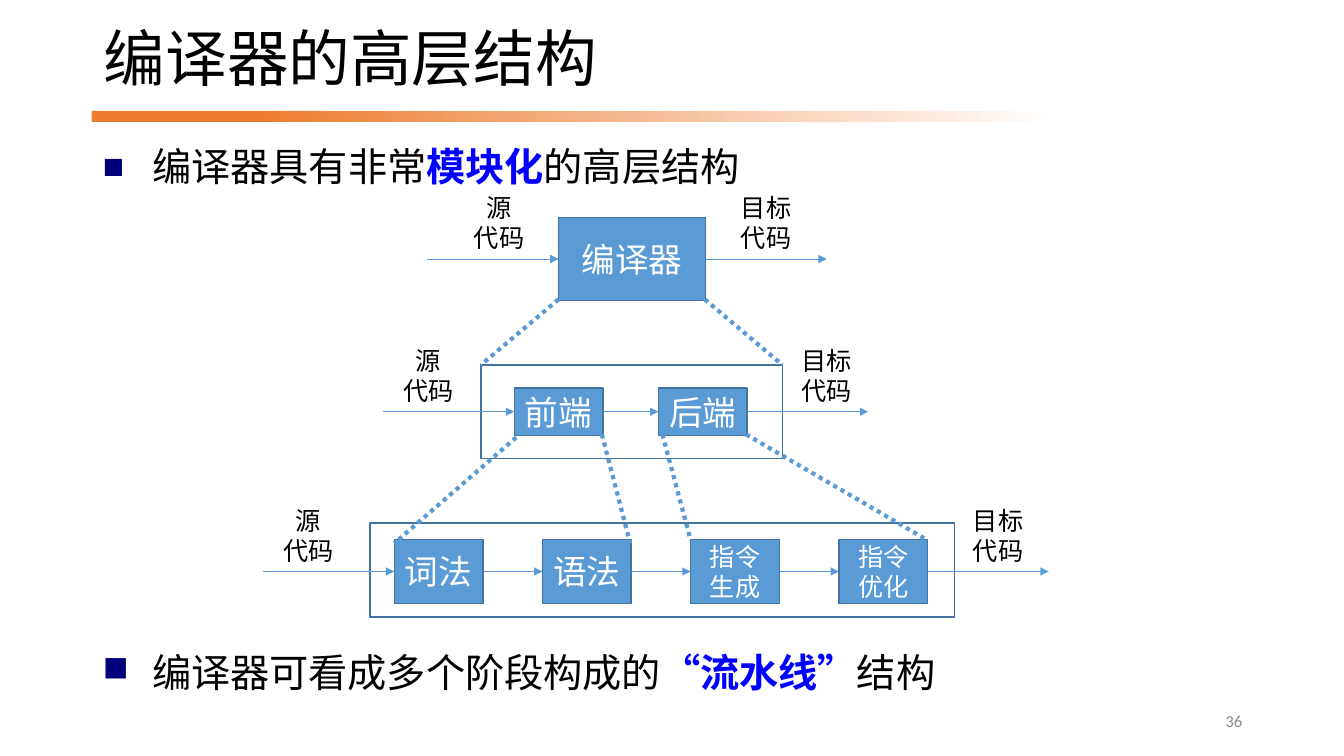
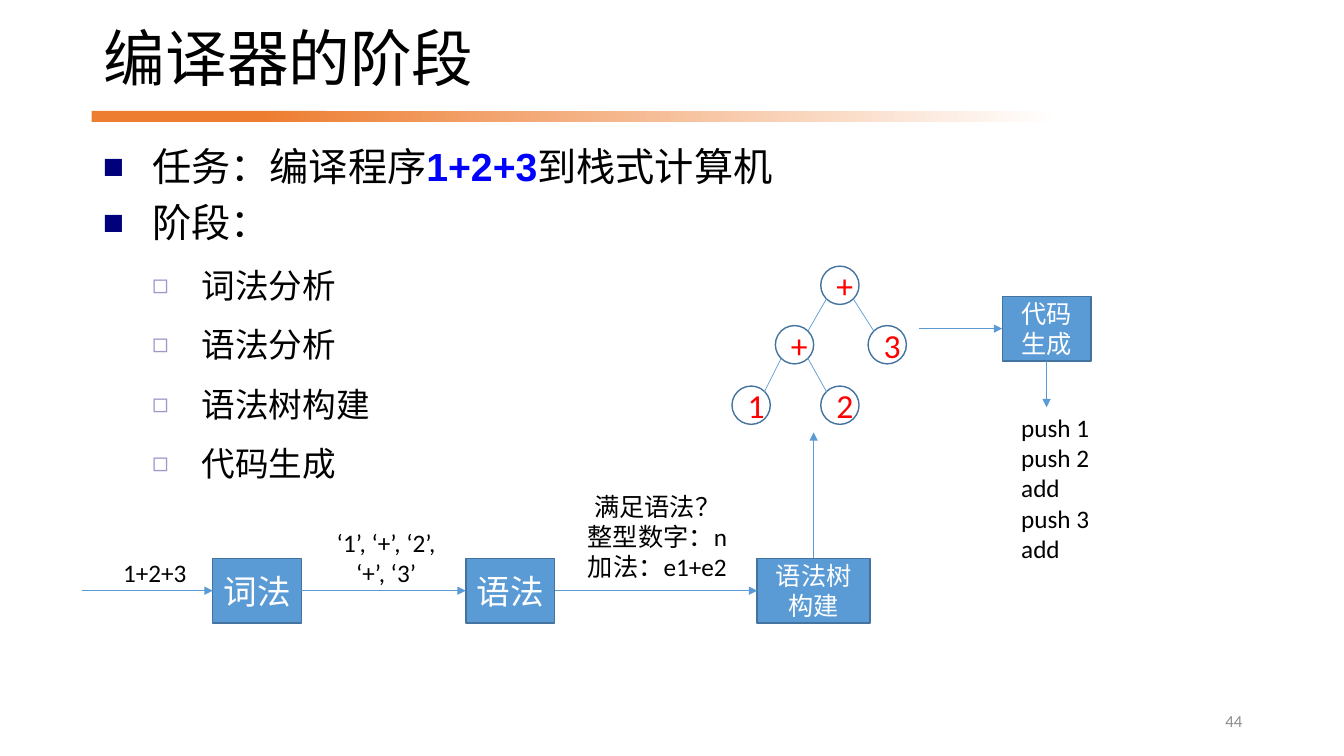
"""Builds two slides on the structure and the phases of a compiler."""
from dataclasses import dataclass

from lxml import etree
from pptx import Presentation
from pptx import util as u
from pptx.dml.color import RGBColor
from pptx.enum import dml, shapes, text
from pptx.oxml.ns import qn


@dataclass(frozen=True)
class Theme:
    heading_font: str = "Arial"
    diagram_font: str = "Calibri"
    ink: str = "000000"
    paper: str = "FFFFFF"
    accent: str = "ED7D31"
    strong: str = "0000FF"
    box: str = "5B9BD5"
    outline: str = "43739E"
    node: str = "FF0000"
    muted: str = "8C8C8C"
    title_size: int = 44
    body_size: int = 28
    large_size: int = 24
    small_size: int = 18
    number_size: int = 12
    bullets: tuple = (("■", "00007D", 90, 0.9, 10), ("◻", "9999CC", 80, 1.3, 5))
    indent: float = 0.49


CENTER = text.PP_ALIGN.CENTER
LEFT = text.PP_ALIGN.LEFT
RIGHT = text.PP_ALIGN.RIGHT
MIDDLE = text.MSO_ANCHOR.MIDDLE
RECTANGLE = shapes.MSO_SHAPE.RECTANGLE
OVAL = shapes.MSO_SHAPE.OVAL


class Deck:
    def __init__(self, theme):
        self.theme = theme
        self.presentation = Presentation()
        self.presentation.slide_width = u.Inches(13.33)
        self.presentation.slide_height = u.Inches(7.5)
        self.slide = None

    def add_slide(self, title, number):
        theme = self.theme
        self.slide = self.presentation.slides.add_slide(self.presentation.slide_layouts[1])
        self.shape(RECTANGLE, 0.91, 1.1, 2.33, 0.11, theme.accent)
        fade = self.shape(RECTANGLE, 2.57, 1.1, 7.92, 0.11, theme.accent)
        fade.fill.gradient()
        fade.fill.gradient_angle = 0
        for stop, color, position in zip(fade.fill.gradient_stops, (theme.accent, theme.paper), (0, 1)):
            stop.color.rgb = RGBColor.from_string(color)
            stop.position = position
        heading = self.slide.shapes.title
        self.place(heading, 0.93, 0.17, 11.14, 0.89)
        self.set_text(heading, title, theme.title_size, theme.ink, LEFT, MIDDLE, theme.heading_font)
        heading.text_frame.paragraphs[0].line_spacing = 0.9
        self.label(number, 9.42, 6.95, 3, 0.4, RIGHT, theme.number_size, theme.muted, MIDDLE)

    def place(self, shape, left, top, width, height):
        shape.left, shape.top = u.Inches(left), u.Inches(top)
        shape.width, shape.height = u.Inches(width), u.Inches(height)

    def style_run(self, run, size, color, font, bold=False):
        run.font.size = u.Pt(size)
        run.font.name = font
        run.font.bold = bold
        run.font.color.rgb = RGBColor.from_string(color)

    def set_text(self, shape, content, size, color, alignment, anchor, font):
        frame = shape.text_frame
        frame.text = content
        frame.word_wrap = True
        frame.auto_size = text.MSO_AUTO_SIZE.NONE
        frame.vertical_anchor = anchor
        for paragraph in frame.paragraphs:
            paragraph.alignment = alignment
            for run in paragraph.runs:
                self.style_run(run, size, color, font)

    def label(self, content, left, top, width, height, alignment=CENTER, size=None,
              color=None, anchor=text.MSO_ANCHOR.TOP):
        theme = self.theme
        box = self.slide.shapes.add_textbox(*map(u.Inches, (left, top, width, height)))
        self.set_text(box, content, size or theme.small_size, color or theme.ink,
                      alignment, anchor, theme.diagram_font)

    def shape(self, kind, left, top, width, height, fill, outline=None):
        shape = self.slide.shapes.add_shape(kind, *map(u.Inches, (left, top, width, height)))
        shape.shadow.inherit = False
        shape.fill.solid()
        shape.fill.fore_color.rgb = RGBColor.from_string(fill)
        if outline:
            shape.line.color.rgb = RGBColor.from_string(outline)
            shape.line.width = u.Pt(1)
        else:
            shape.line.fill.background()
        return shape

    def frame(self, left, top, width, height):
        self.shape(RECTANGLE, left, top, width, height, self.theme.paper, self.theme.outline)

    def box(self, content, left, top, width=0.88, height=0.64):
        theme = self.theme
        shape = self.shape(RECTANGLE, left, top, width, height, theme.box, theme.outline)
        size = theme.large_size if len(content) < 4 else theme.small_size
        self.set_text(shape, content, size, theme.paper, CENTER, MIDDLE, theme.diagram_font)
        return shape

    def node(self, content, x, y, diameter=0.38):
        theme = self.theme
        shape = self.shape(OVAL, x - diameter / 2, y - diameter / 2, diameter, diameter,
                           theme.paper, theme.outline)
        self.set_text(shape, content, theme.large_size, theme.node, CENTER, MIDDLE, theme.diagram_font)

    def line(self, start, end, arrow=False, dotted=False):
        connector = self.slide.shapes.add_connector(
            shapes.MSO_CONNECTOR.STRAIGHT, *map(u.Inches, (*start, *end)))
        connector.line.color.rgb = RGBColor.from_string(self.theme.box)
        connector.line.width = u.Pt(3 if dotted else 0.5)
        if dotted:
            connector.line.dash_style = dml.MSO_LINE.ROUND_DOT
        properties = connector.element.spPr
        if arrow:
            etree.SubElement(properties.find(qn("a:ln")), qn("a:tailEnd"), type="triangle")
        etree.SubElement(properties, qn("a:effectLst"))
        return connector

    def chain(self, boxes):
        for first, second in zip(boxes, boxes[1:]):
            connector = self.line((0, 0), (1, 1), arrow=True)
            connector.begin_connect(first, 3)
            connector.end_connect(second, 1)

    def stage(self, names, left, top, width, height, step, source_left, target_left):
        boxes = [self.box(name, left + step * i, top, width, height) for i, name in enumerate(names)]
        self.chain(boxes)
        middle = top + height / 2
        right = left + step * (len(names) - 1) + width
        self.line((left - 1.3, middle), (left, middle), arrow=True)
        self.line((right, middle), (right + 1.2, middle), arrow=True)
        self.label("源\n代码", source_left, middle - 0.71, 0.72, 0.71)
        self.label("目标代码", target_left, middle - 0.71, 0.72, 0.71, LEFT)

    def bullet_list(self, items, top, height, shape=None):
        theme = self.theme
        shape = shape or self.slide.shapes.add_textbox(0, 0, 0, 0)
        self.place(shape, 0.92, top, 11.5, height)
        frame = shape.text_frame
        frame.word_wrap = True
        frame.auto_size = text.MSO_AUTO_SIZE.NONE
        for index, (level, content) in enumerate(items):
            paragraph = frame.add_paragraph() if index else frame.paragraphs[0]
            mark, color, percent, spacing, before = theme.bullets[level]
            paragraph.level = level
            paragraph.line_spacing = spacing
            paragraph.space_before = u.Pt(before if index else 0)
            properties = paragraph._p.get_or_add_pPr()
            properties.set("marL", str(u.Inches(theme.indent * (level + 1))))
            properties.set("indent", str(u.Inches(-theme.indent)))
            bullet_color = etree.SubElement(properties, qn("a:buClr"))
            etree.SubElement(bullet_color, qn("a:srgbClr"), val=color)
            etree.SubElement(properties, qn("a:buSzPct"), val=str(percent * 1000))
            etree.SubElement(properties, qn("a:buChar"), char=mark)
            size = theme.large_size if level else theme.body_size
            for position, part in enumerate(content.split("*")):
                run = paragraph.add_run()
                run.text = part
                bold = position % 2 == 1
                self.style_run(run, size, theme.strong if bold else theme.ink, theme.heading_font, bold)

    def body(self, items, height):
        self.bullet_list(items, 1.41, height, self.slide.placeholders[1])


def build_structure(deck):
    deck.add_slide("编译器的高层结构", "36")
    deck.body([(0, "编译器具有非常*模块化*的高层结构")], 0.73)
    deck.stage(["编译器"], 5.54, 2.16, 1.46, 0.82, 0, 4.59, 7.25)
    deck.frame(4.77, 3.62, 2.99, 0.93)
    deck.stage(["前端", "后端"], 5.1, 3.85, 0.88, 0.47, 1.43, 3.89, 7.85)
    deck.frame(3.67, 5.19, 5.8, 0.93)
    deck.stage(["词法", "语法", "指令生成", "指令优化"], 3.91, 5.35, 0.88, 0.64, 1.47, 2.7, 9.55)
    expansions = [
        ((5.54, 2.97), (4.77, 3.62)), ((6.99, 2.97), (7.76, 3.62)),
        ((5.12, 4.34), (3.91, 5.39)), ((5.97, 4.31), (6.25, 5.39)),
        ((6.57, 4.31), (6.85, 5.36)), ((7.4, 4.31), (9.2, 5.36)),
    ]
    for start, end in expansions:
        deck.line(start, end, dotted=True)
    deck.bullet_list([(0, "编译器可看成多个阶段构成的*“流水线”*结构")], 6.44, 0.66)


def build_phases(deck):
    deck.add_slide("编译器的阶段", "44")
    phases = ["词法分析", "语法分析", "语法树构建", "代码生成"]
    deck.body([(0, "任务：编译程序*1+2+3*到栈式计算机"), (0, "阶段："),
               *((1, phase) for phase in phases)], 3.71)
    deck.chain([deck.box("词法", 2.11, 5.54), deck.box("语法", 4.62, 5.54),
                deck.box("语法树构建", 7.51, 5.54, 1.12)])
    deck.box("代码生成", 9.94, 2.94)
    arrows = [((0.81, 5.86), (2.11, 5.86)), ((8.07, 5.54), (8.07, 4.29)),
              ((9.12, 3.26), (9.94, 3.26)), ((10.38, 3.58), (10.38, 4.04))]
    for start, end in arrows:
        deck.line(start, end, arrow=True)
    deck.label("1+2+3", 0.93, 5.48, 1.21, 0.4)
    deck.label("‘1’, ‘+’, ‘2’, ‘+’, ‘3’", 3.2, 5.18, 1.26, 0.71)
    deck.label("满足语法？\n整型数字：n\n加法：e1+e2", 5.64, 4.82, 1.76, 1.01)
    deck.label("push 1\npush 2\nadd\npush 3\nadd", 10.03, 4.04, 1.28, 1.62, LEFT)
    nodes = [("+", 8.33, 2.83), ("+", 7.88, 3.42), ("3", 8.8, 3.42),
             ("1", 7.45, 4.02), ("2", 8.33, 4.02)]
    for node in nodes:
        deck.node(*node)
    for parent, child in [(0, 1), (0, 2), (1, 3), (1, 4)]:
        _, parent_x, parent_y = nodes[parent]
        _, child_x, child_y = nodes[child]
        offset = 0.13 if child_x > parent_x else -0.13
        deck.line((parent_x + offset, parent_y + 0.13), (child_x - offset, child_y - 0.13))


def main():
    deck = Deck(Theme())
    build_structure(deck)
    build_phases(deck)
    deck.presentation.save("out.pptx")


if __name__ == "__main__":
    main()
